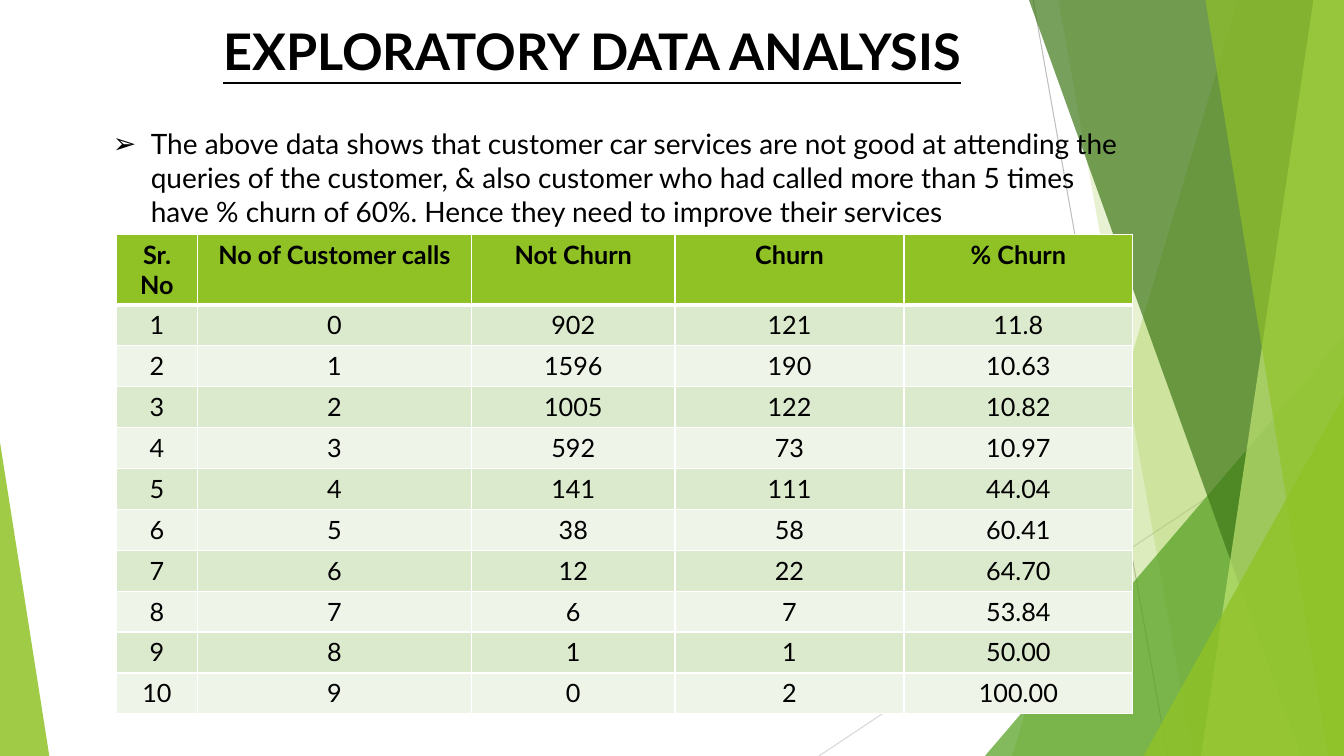
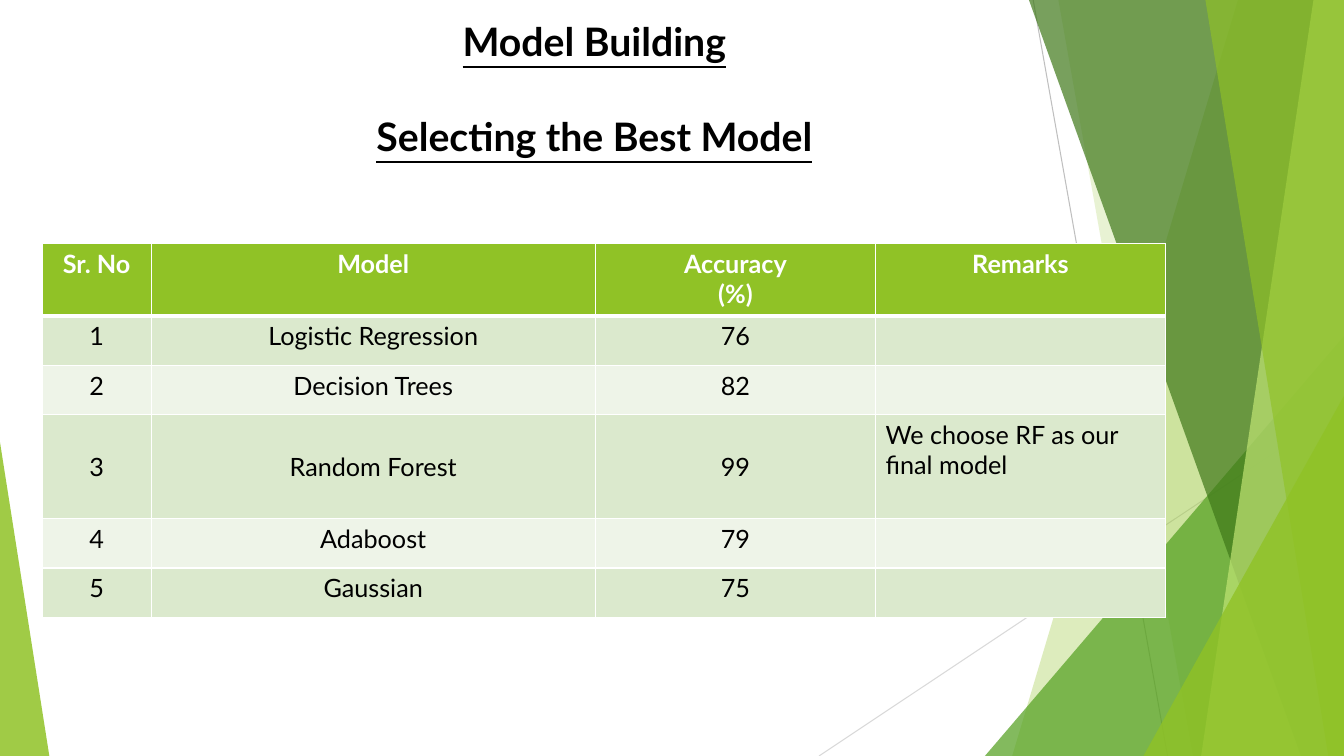
from dataclasses import dataclass

from lxml.etree import SubElement
from pptx import Presentation
from pptx.dml.color import RGBColor
from pptx.enum.shapes import MSO_CONNECTOR, MSO_SHAPE
from pptx.enum.text import MSO_ANCHOR, MSO_AUTO_SIZE, PP_ALIGN
from pptx.oxml.ns import qn
from pptx.util import Pt

EMU_PER_PX = 9525
SLIDE_WIDTH, SLIDE_HEIGHT = 1280, 720


@dataclass(frozen=True)
class Theme:
    font: str = "Lato"
    ink: str = "000000"
    white: str = "FFFFFF"
    lime: str = "90C226"
    green: str = "54A021"
    forest: str = "3F7819"
    pale_lime: str = "C0E474"
    band_dark: str = "DBE9CD"
    band_light: str = "EEF4E8"
    ray_dark: str = "BFBFBF"
    ray_light: str = "D9D9D9"
    title_size: int = 36
    subtitle_size: int = 28
    body_size: int = 20
    table_size: int = 18


THEME = Theme()

CHURN_ROWS = [
    ("Sr. No", "No of Customer calls", "Not Churn", "Churn", "% Churn"),
    ("1", "0", "902", "121", "11.8"),
    ("2", "1", "1596", "190", "10.63"),
    ("3", "2", "1005", "122", "10.82"),
    ("4", "3", "592", "73", "10.97"),
    ("5", "4", "141", "111", "44.04"),
    ("6", "5", "38", "58", "60.41"),
    ("7", "6", "12", "22", "64.70"),
    ("8", "7", "6", "7", "53.84"),
    ("9", "8", "1", "1", "50.00"),
    ("10", "9", "0", "2", "100.00"),
]

MODEL_ROWS = [
    ("Sr. No", "Model", "Accuracy\n(%)", "Remarks"),
    ("1", "Logistic Regression", "76", ""),
    ("2", "Decision Trees", "82", ""),
    ("3", "Random Forest", "99", "We choose RF as our final model"),
    ("4", "Adaboost", "79", ""),
    ("5", "Gaussian", "75", ""),
]


# Shared helpers
def px(*lengths):
    return [length * EMU_PER_PX for length in lengths]


def apply_format(target, values):
    for name, value in values.items():
        setattr(target, name, value)


def format_font(font, size, color=THEME.ink, **values):
    apply_format(font, {"name": THEME.font, "size": Pt(size), **values})
    font.color.rgb = RGBColor.from_string(color)


def place(shape, box):
    apply_format(shape, dict(zip(("left", "top", "width", "height"), px(*box))))


def prepare_frame(placeholder, box):
    place(placeholder, box)
    frame = placeholder.text_frame
    apply_format(frame, {
        "word_wrap": True,
        "auto_size": MSO_AUTO_SIZE.NONE,
        "vertical_anchor": MSO_ANCHOR.TOP,
    })
    return frame


# Background artwork
def paint(shape, color, opacity):
    shape.shadow.inherit = False
    shape.fill.solid()
    shape.fill.fore_color.rgb = RGBColor.from_string(color)
    shape.line.fill.background()
    color_element = shape.element.spPr.find(".//" + qn("a:srgbClr"))
    SubElement(color_element, qn("a:alpha"), val=str(opacity * 1000))


def add_ray(group, start, end, color):
    ray = group.shapes.add_connector(MSO_CONNECTOR.STRAIGHT, *px(*start, *end))
    ray.line.width = Pt(0.75)
    ray.line.color.rgb = RGBColor.from_string(color)
    SubElement(ray.element.spPr, qn("a:effectLst"))


def add_panel(group, top_x, bottom_x, color, opacity):
    """Slanted left edge; the rest follows the slide's right side."""
    builder = group.shapes.build_freeform(top_x, 0, scale=EMU_PER_PX)
    builder.add_line_segments([
        (SLIDE_WIDTH, 0), (SLIDE_WIDTH, SLIDE_HEIGHT), (bottom_x, SLIDE_HEIGHT),
    ])
    paint(builder.convert_to_shape(), color, opacity)


def add_corner(group, left, top, right, apex, color, opacity):
    """Triangle standing on the bottom edge of the slide."""
    corner = group.shapes.add_shape(
        MSO_SHAPE.ISOSCELES_TRIANGLE,
        *px(left, top, right - left, SLIDE_HEIGHT - top))
    corner.adjustments[0] = apex
    paint(corner, color, opacity)


def add_background(presentation, slide):
    """Draw the artwork once and hand it to the master."""
    group = slide.shapes.add_group_shape()
    add_ray(group, (984, 0), (1112, SLIDE_HEIGHT), THEME.ray_dark)
    add_ray(group, (SLIDE_WIDTH, 387), (780, SLIDE_HEIGHT), THEME.ray_light)
    add_panel(group, 1179, 964, THEME.lime, 30)
    add_panel(group, 1008, 1136, THEME.lime, 20)
    add_corner(group, 938, 320, SLIDE_WIDTH, 1, THEME.green, 72)
    add_panel(group, 980, 1239, THEME.forest, 70)
    add_panel(group, 1251, 1144, THEME.pale_lime, 70)
    add_panel(group, 1148, 1265, THEME.lime, 65)
    add_corner(group, 1089, 377, SLIDE_WIDTH, 1, THEME.lime, 80)
    add_corner(group, 0, 421, 47, 0, THEME.lime, 85)
    for number, properties in enumerate(group.element.iter(qn("p:cNvPr")), 100):
        properties.set("id", str(number))
    presentation.slide_master.shapes[0].element.addprevious(group.element)


# Titles and lists
def add_title(slide, lines, box, size, gap=0):
    frame = prepare_frame(slide.shapes.title, box)
    frame.text = "\n".join(lines)
    for index, paragraph in enumerate(frame.paragraphs):
        apply_format(paragraph, {
            "alignment": PP_ALIGN.CENTER,
            "space_before": Pt(gap if index else 0),
        })
        format_font(paragraph.runs[0].font, size, bold=True, underline=True)


def add_bullet(slide, text, box, indent=36):
    frame = prepare_frame(slide.placeholders[1], box)
    frame.text = text
    paragraph = frame.paragraphs[0]
    paragraph.space_before = Pt(0)
    format_font(paragraph.runs[0].font, THEME.body_size)
    properties = paragraph._p.get_or_add_pPr()
    properties.set("marL", str(indent * EMU_PER_PX))
    properties.set("indent", str(-indent * EMU_PER_PX))
    SubElement(properties, qn("a:buChar"), char="➢")


# Tables
def add_borders(cell, widths):
    properties = cell._tc.get_or_add_tcPr()
    for side, width in widths.items():
        border = SubElement(properties, qn("a:ln" + side), w=str(Pt(width)))
        fill = SubElement(border, qn("a:solidFill"))
        SubElement(fill, qn("a:srgbClr"), val=THEME.white)


def format_cell(cell, text, row, header_color, alignment, anchor):
    is_header = row == 0
    add_borders(cell, {"L": 1, "R": 1, "T": 3 if row == 1 else 1,
                       "B": 3 if is_header else 1})
    band = THEME.band_dark if row % 2 else THEME.band_light
    cell.fill.solid()
    cell.fill.fore_color.rgb = RGBColor.from_string(
        THEME.lime if is_header else band)
    cell.text = text
    cell.vertical_anchor = anchor
    for paragraph in cell.text_frame.paragraphs:
        paragraph.alignment = alignment
        format_font(paragraph.font, THEME.table_size)
        for run in paragraph.runs:
            format_font(run.font, THEME.table_size,
                        header_color if is_header else THEME.ink, bold=is_header)


def add_data_table(slide, rows, position, widths, heights, header_color,
                   left_cells=(), middle_cells=()):
    table = slide.shapes.add_table(
        len(rows), len(widths),
        *px(*position, sum(widths), sum(heights))).table
    for column, width in zip(table.columns, px(*widths)):
        column.width = width
    for table_row, height in zip(table.rows, px(*heights)):
        table_row.height = height
    for row, texts in enumerate(rows):
        for column, text in enumerate(texts):
            spot = (row, column)
            format_cell(
                table.cell(*spot), text, row, header_color,
                PP_ALIGN.LEFT if spot in left_cells else PP_ALIGN.CENTER,
                MSO_ANCHOR.MIDDLE if spot in middle_cells else MSO_ANCHOR.TOP)


# Slides
def build_analysis_slide(slide):
    add_title(slide, ["EXPLORATORY DATA ANALYSIS"], (70, 14, 988, 69),
              THEME.title_size)
    add_bullet(
        slide,
        "The above data shows that customer car services are not good at "
        "attending the queries of the customer, & also customer who had called "
        "more than 5 times have % churn of 60%. Hence they need to improve "
        "their services",
        (98, 116, 979, 107))
    add_data_table(slide, CHURN_ROWS, (111, 223), [77, 261, 194, 218, 218],
                   [66] + [39] * 10, THEME.ink)


def build_model_slide(slide):
    add_title(slide, ["Model Building", "Selecting the Best Model"],
              (115, 12, 902, 41), THEME.subtitle_size, gap=34)
    add_data_table(slide, MODEL_ROWS, (40, 232), [104, 423, 267, 276],
                   [69, 47, 47, 99, 47, 47], THEME.white,
                   left_cells={(3, 3)},
                   middle_cells={(3, column) for column in range(3)})


def main():
    presentation = Presentation()
    presentation.slide_width, presentation.slide_height = px(
        SLIDE_WIDTH, SLIDE_HEIGHT)
    layouts = presentation.slide_layouts
    analysis_slide = presentation.slides.add_slide(
        layouts.get_by_name("Title and Content"))
    model_slide = presentation.slides.add_slide(layouts.get_by_name("Title Only"))
    add_background(presentation, analysis_slide)
    build_analysis_slide(analysis_slide)
    build_model_slide(model_slide)
    presentation.save("out.pptx")


if __name__ == "__main__":
    main()
